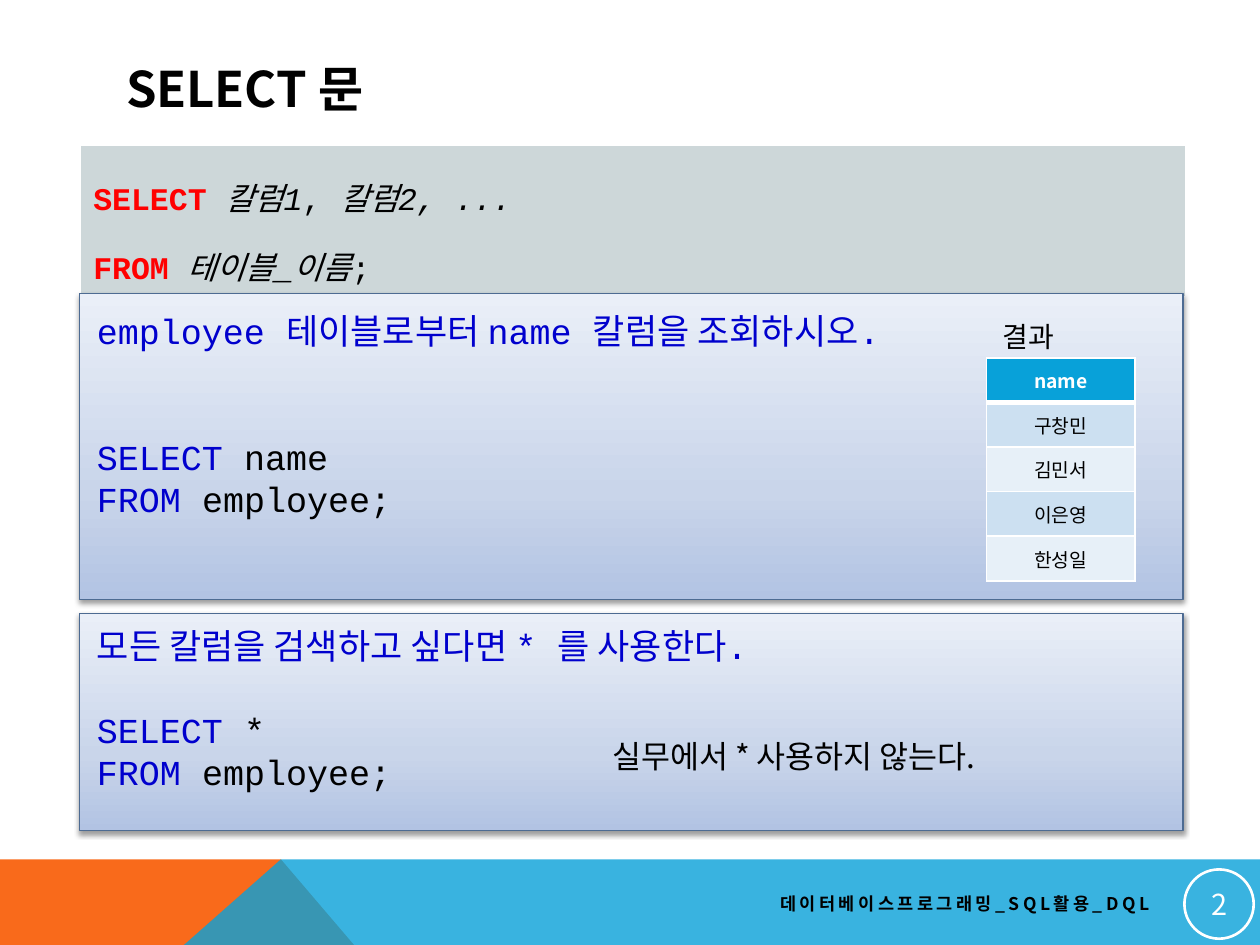
from pptx import Presentation
from pptx.dml.color import RGBColor
from pptx.enum.shapes import MSO_SHAPE
from pptx.enum.text import MSO_ANCHOR, PP_ALIGN
from pptx.oxml import parse_xml
from pptx.oxml.ns import nsdecls
from pptx.util import Inches, Pt

# Content: each line is a list of (text, colour, style) spans
WIDTH, HEIGHT = 10, 7.5
MONO, SANS = "Courier New", "Noto Sans CJK KR"
BLACK, WHITE, RED, BLUE, SKY = "000000", "FFFFFF", "FF0000", "0000CD", "08A1D9"
TITLE = "SELECT 문"
FOOTER = "데이터베이스프로그래밍_SQL활용_DQL"
SYNTAX = [
    [("SELECT\u00a0", RED, "b"), ("칼럼1", BLACK, "i"), (",\u00a0", BLACK, ""),
     ("칼럼2, ...", BLACK, "i")],
    [("FROM\u00a0", RED, "b"), ("테이블_이름", BLACK, "i"), (";", BLACK, "")],
]
# Panels: top, height, text offset, question, selected column, gap in points
PANELS = [
    (2.33, 2.43, 0.08, "employee 테이블로부터 name 칼럼을 조회하시오.", "name", 48),
    (4.87, 1.72, 0.04, "모든 칼럼을 검색하고 싶다면 * 를 사용한다.", "*", 24),
]
LABELS = [(7.86, 2.49, 0.73, 0.37, "결과", 16),
          (4.76, 5.8, 3.41, 0.4, "실무에서 * 사용하지 않는다.", 18)]
RESULT = ["name", "구창민", "김민서", "이은영", "한성일"]
GRADIENT = [(0, "B2C3E3"), (35, "C9D5EA"), (100, "EAEFF8")]
BAND_TOP, BAND_PEAK, BAND_LEFT, BAND_RIGHT = 6.82, 2.23, 1.46, 2.81


def color(value):
    return RGBColor.from_string(value)


def inches(*values):
    return [Inches(value) for value in values]


def write(frame, lines, size, font=SANS, align=PP_ALIGN.LEFT):
    for index, line in enumerate(lines):
        para = frame.paragraphs[0] if index == 0 else frame.add_paragraph()
        para.alignment = align
        para.font.size, para.font.name = Pt(size), font
        for text, tint, style in line:
            span = para.add_run()
            span.text = text
            span.font.size, span.font.name = Pt(size), font
            span.font.color.rgb = color(tint)
            span.font.bold, span.font.italic = "b" in style, "i" in style
            span.font._element.get_or_add_latin().addnext(
                parse_xml(f'<a:ea {nsdecls("a")} typeface="{SANS}"/>'))


def add_text(place, lines, size, font=SANS, align=PP_ALIGN.LEFT, wrap=True):
    frame = slide.shapes.add_textbox(*inches(*place)).text_frame
    frame.word_wrap = wrap
    write(frame, lines, size, font, align)
    return frame


def add_band(points, fill, alpha=100):
    # Freeform points are whole numbers, so they are given in hundredths of an inch
    start, *rest = [(round(x * 100), round(y * 100)) for x, y in points]
    builder = slide.shapes.build_freeform(*start, scale=Inches(0.01))
    builder.add_line_segments(rest, close=True)
    band = builder.convert_to_shape()
    band.shadow.inherit = False
    band.fill.solid()
    band.fill.fore_color.rgb = color(fill)
    band.line.fill.background()
    band.fill._xPr.find(".//{*}srgbClr").append(
        parse_xml(f'<a:alpha {nsdecls("a")} val="{alpha * 1000}"/>'))


def add_panel(top, height):
    panel = slide.shapes.add_shape(MSO_SHAPE.RECTANGLE, *inches(0.63, top, 8.76, height))
    panel.line.color.rgb, panel.line.width = color("4D6B92"), Pt(0.75)
    stops = "".join(f'<a:gs pos="{at * 1000}"><a:srgbClr val="{tint}"/></a:gs>'
                    for at, tint in GRADIENT)
    properties = panel._element.spPr
    properties.find("{*}prstGeom").addnext(parse_xml(
        f'<a:gradFill {nsdecls("a")} rotWithShape="1"><a:gsLst>{stops}</a:gsLst>'
        '<a:lin ang="16200000" scaled="0"/></a:gradFill>'))
    properties.append(parse_xml(
        f'<a:effectLst {nsdecls("a")}><a:outerShdw blurRad="{Pt(3.1)}" dist="{Pt(1.6)}" '
        'dir="5400000" rotWithShape="0"><a:srgbClr val="000000">'
        '<a:alpha val="38000"/></a:srgbClr></a:outerShdw></a:effectLst>'))


def add_column(place, count):
    table = slide.shapes.add_table(count, 1, *inches(*place)).table
    return [table.cell(row, 0) for row in range(count)]


def format_cell(cell, fill, bottom):
    for side, width in (("L", 1), ("R", 1), ("T", 1), ("B", bottom)):
        cell._tc.get_or_add_tcPr().append(parse_xml(
            f'<a:ln{side} {nsdecls("a")} w="{Pt(width)}"><a:solidFill>'
            f'<a:srgbClr val="{WHITE}"/></a:solidFill></a:ln{side}>'))
    cell.fill.solid()
    cell.fill.fore_color.rgb = color(fill)


deck = Presentation()
deck.slide_width, deck.slide_height = inches(WIDTH, HEIGHT)
slide = deck.slides.add_slide(deck.slide_layouts[5])

# Title
title = slide.shapes.title
title.left, title.top, title.width, title.height = inches(0.9, 0.4, 8.22, 0.6)
title.text_frame.vertical_anchor = MSO_ANCHOR.MIDDLE
write(title.text_frame, [[(TITLE, BLACK, "b")]], 28)

# Bottom band, footer and page number
add_band([(0, BAND_TOP), (BAND_PEAK, BAND_TOP), (BAND_RIGHT, HEIGHT), (0, HEIGHT)], "F96A1B")
add_band([(BAND_LEFT, HEIGHT), (BAND_PEAK, BAND_TOP), (WIDTH, BAND_TOP), (WIDTH, HEIGHT)],
         SKY, 80)
footer = add_text((3.58, 7.02, 5.64, 0.3), [[(FOOTER, BLACK, "b")]], 10, align=PP_ALIGN.RIGHT)
footer.vertical_anchor = MSO_ANCHOR.MIDDLE
footer.paragraphs[0].runs[0].font._element.set("spc", "200")

badge = slide.shapes.add_shape(MSO_SHAPE.OVAL, *inches(9.4, 6.9, 0.55, 0.55))
badge.shadow.inherit = False
badge.fill.background()
badge.line.color.rgb, badge.line.width = color(WHITE), Pt(1.5)
number = badge.text_frame
number.margin_left = number.margin_right = number.margin_top = number.margin_bottom = Inches(0.01)
number.vertical_anchor = MSO_ANCHOR.MIDDLE
write(number, [[("2", WHITE, "")]], 16.5, align=PP_ALIGN.CENTER)

# Syntax block, reaching down to just behind the first panel
syntax = add_column((0.64, 1.15, 8.77, 1.22), 1)[0]
format_cell(syntax, "CDD7D9", 3)
write(syntax.text_frame, SYNTAX, 18, MONO)
for para in syntax.text_frame.paragraphs:
    para.line_spacing = 1.5

# Example panels
for top, height, offset, question, column, gap in PANELS:
    add_panel(top, height)
    query = [[(question, BLUE, "")],
             [("SELECT", BLUE, ""), (f"\u00a0{column}\u00a0", BLACK, "")],
             [("FROM", BLUE, ""), (" employee;", BLACK, "")]]
    frame = add_text((0.67, top + offset, 6.92, height - 0.3), query, 20, MONO)
    frame.paragraphs[1].space_before = Pt(gap)

# Result table and labels
for row, (cell, text) in enumerate(zip(add_column((7.83, 2.84, 1.18, 1.77), len(RESULT)), RESULT)):
    header = row == 0
    format_cell(cell, SKY if header else ("E7F0F8", "CCE0F1")[row % 2], 3 if header else 1)
    cell.vertical_anchor = MSO_ANCHOR.MIDDLE
    span = (text, WHITE, "b") if header else (text, BLACK, "")
    write(cell.text_frame, [[span]], 11, align=PP_ALIGN.CENTER)
for *place, text, size in LABELS:
    add_text(place, [[(text, BLACK, "")]], size, wrap=False)

deck.save("out.pptx")
